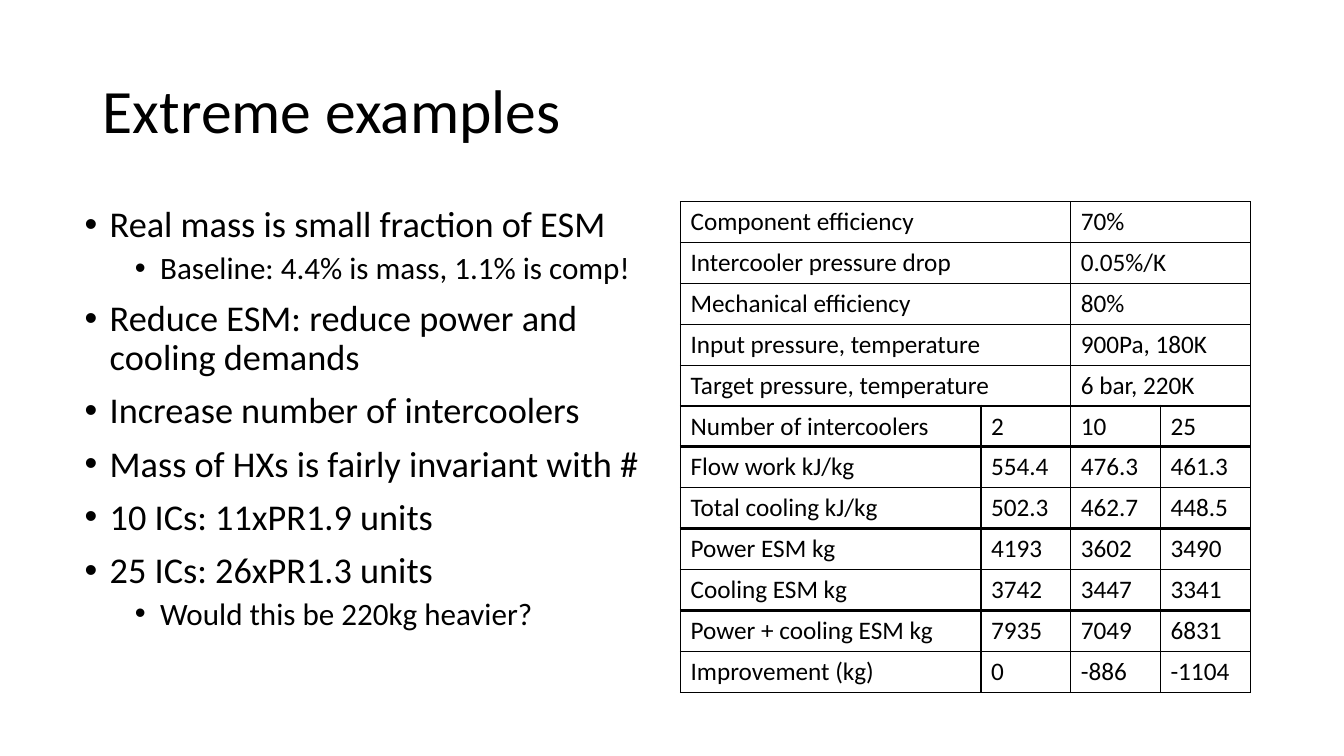
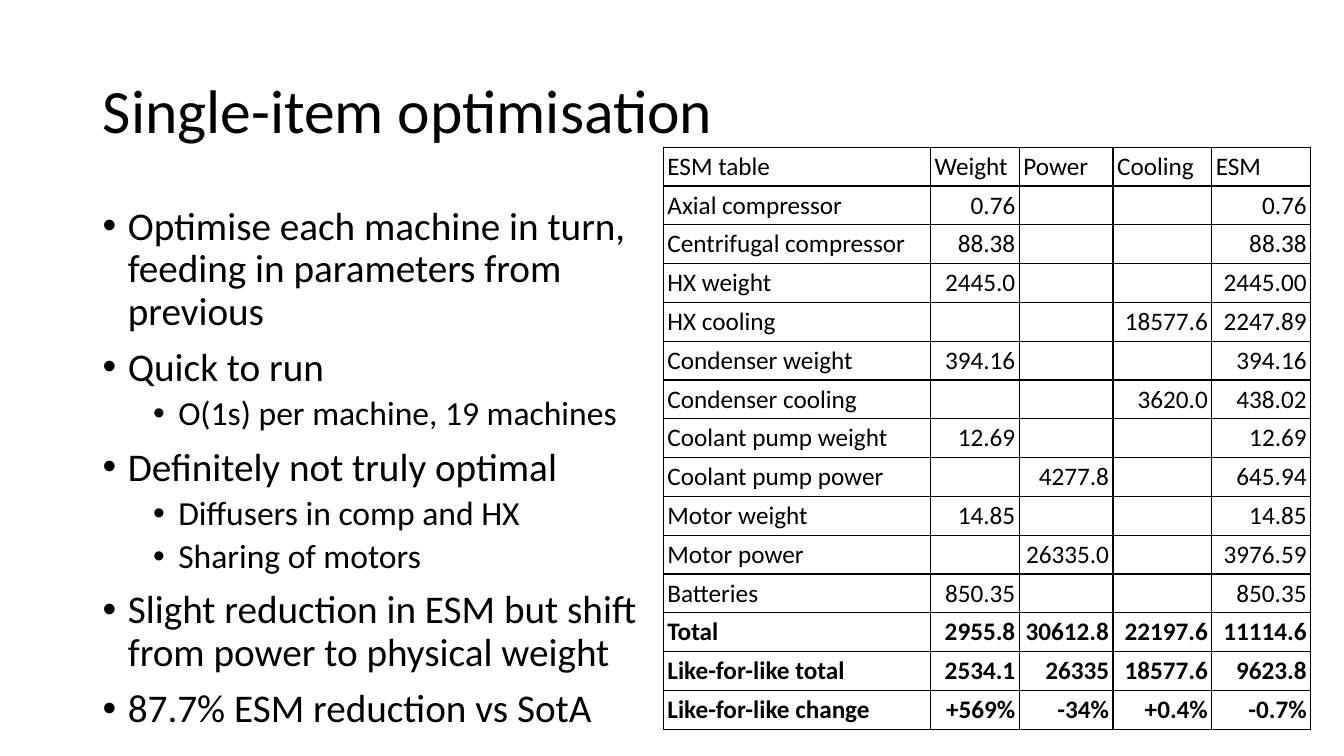
from dataclasses import dataclass

from lxml.etree import SubElement
from pptx import Presentation
from pptx.dml.color import RGBColor
from pptx.enum.text import MSO_ANCHOR as Anchor, MSO_AUTO_SIZE as AutoSize, PP_ALIGN as Align
from pptx.oxml.ns import qn
from pptx.util import Inches, Pt

FONT = "Calibri"
BLACK = "000000"
TITLE_SIZE = 44
TABLE_SIZE = 18
LINE_SPACING = 0.9
THIN, THICK = 1, 2.25
BULLET_INDENT = 0.25
LEVEL_STEP = 0.5


@dataclass(frozen=True)
class Box:
    left: float
    top: float
    width: float
    height: float

    def lengths(self) -> tuple:
        return tuple(Inches(v) for v in (self.left, self.top, self.width, self.height))


@dataclass(frozen=True)
class Bullet:
    text: str
    level: int = 0


@dataclass(frozen=True)
class BulletList:
    box: Box
    sizes: tuple[float, float]
    bullets: tuple[Bullet, ...]


@dataclass(frozen=True)
class Grid:
    """A table; the first merged_rows rows join their columns in pairs."""
    box: Box
    columns: tuple[float, ...]
    rows: tuple[tuple[str, ...], ...]
    merged_rows: int = 0
    thick_below: tuple[int, ...] = ()
    bold_from: int | None = None
    numbers_right: bool = False
    margin: float | None = None
    anchor: Anchor = Anchor.TOP


@dataclass(frozen=True)
class Page:
    title: str
    bullet_list: BulletList
    grid: Grid


TITLE_BOX = Box(0.92, 0.4, 11.5, 1.45)

PAGES = (
    Page(
        "Extreme examples",
        BulletList(Box(0.74, 2, 5.84, 4.76), (25.9, 22.2), (
            Bullet("Real mass is small fraction of ESM"),
            Bullet("Baseline: 4.4% is mass, 1.1% is comp!", 1),
            Bullet("Reduce ESM: reduce power and cooling demands"),
            Bullet("Increase number of intercoolers"),
            Bullet("Mass of HXs is fairly invariant with #"),
            Bullet("10 ICs: 11xPR1.9 units"),
            Bullet("25 ICs: 26xPR1.3 units"),
            Bullet("Would this be 220kg heavier?", 1),
        )),
        Grid(Box(6.75, 2, 5.67, 4.87), (2.98, 0.89, 0.89, 0.89), (
            ("Component efficiency", "", "70%", ""),
            ("Intercooler pressure drop", "", "0.05%/K", ""),
            ("Mechanical efficiency", "", "80%", ""),
            ("Input pressure, temperature", "", "900Pa, 180K", ""),
            ("Target pressure, temperature", "", "6 bar, 220K", ""),
            ("Number of intercoolers", "2", "10", "25"),
            ("Flow work kJ/kg", "554.4", "476.3", "461.3"),
            ("Total cooling kJ/kg", "502.3", "462.7", "448.5"),
            ("Power ESM kg", "4193", "3602", "3490"),
            ("Cooling ESM kg", "3742", "3447", "3341"),
            ("Power + cooling ESM kg", "7935", "7049", "6831"),
            ("Improvement (kg)", "0", "-886", "-1104"),
        ), merged_rows=5, thick_below=(4, 5, 7, 9)),
    ),
    Page(
        "Single-item optimisation",
        BulletList(Box(0.92, 2, 5.67, 5.43), (28, 24), (
            Bullet("Optimise each machine in turn, feeding in parameters from previous"),
            Bullet("Quick to run"),
            Bullet("O(1s) per machine, 19 machines", 1),
            Bullet("Definitely not truly optimal"),
            Bullet("Diffusers in comp and HX", 1),
            Bullet("Sharing of motors", 1),
            Bullet("Slight reduction in ESM but shift from power to physical weight"),
            Bullet("87.7% ESM reduction vs SotA"),
        )),
        Grid(Box(6.58, 1.46, 6.42, 5.76), (2.65, 0.88, 0.93, 0.98, 0.98), (
            ("ESM table", "Weight", "Power", "Cooling", "ESM"),
            ("Axial compressor", "0.76", "", "", "0.76"),
            ("Centrifugal compressor", "88.38", "", "", "88.38"),
            ("HX weight", "2445.0", "", "", "2445.00"),
            ("HX cooling", "", "", "18577.6", "2247.89"),
            ("Condenser weight", "394.16", "", "", "394.16"),
            ("Condenser cooling", "", "", "3620.0", "438.02"),
            ("Coolant pump weight", "12.69", "", "", "12.69"),
            ("Coolant pump power", "", "4277.8", "", "645.94"),
            ("Motor weight", "14.85", "", "", "14.85"),
            ("Motor power", "", "26335.0", "", "3976.59"),
            ("Batteries", "850.35", "", "", "850.35"),
            ("Total", "2955.8", "30612.8", "22197.6", "11114.6"),
            ("Like-for-like total", "2534.1", "26335", "18577.6", "9623.8"),
            ("Like-for-like change", "+569%", "-34%", "+0.4%", "-0.7%"),
        ), bold_from=12, numbers_right=True, margin=0.04, anchor=Anchor.BOTTOM),
    ),
)


def format_runs(paragraph, size: float, bold: bool = False) -> None:
    for run in paragraph.runs:
        run.font.name = FONT
        run.font.size = Pt(size)
        run.font.bold = bold
        run.font.color.rgb = RGBColor.from_string(BLACK)


def add_title(slide, text: str) -> None:
    title = slide.shapes.title
    title.left, title.top, title.width, title.height = TITLE_BOX.lengths()
    frame = title.text_frame
    frame.text = text
    frame.auto_size = AutoSize.NONE
    frame.vertical_anchor = Anchor.MIDDLE
    paragraph = frame.paragraphs[0]
    paragraph.alignment = Align.LEFT
    paragraph.line_spacing = LINE_SPACING
    format_runs(paragraph, TITLE_SIZE)


def set_bullet(paragraph, level: int) -> None:
    properties = paragraph._p.get_or_add_pPr()
    properties.set("marL", str(Inches(BULLET_INDENT + level * LEVEL_STEP)))
    properties.set("indent", str(-Inches(BULLET_INDENT)))
    SubElement(properties, qn("a:buFont"), typeface="Arial")
    SubElement(properties, qn("a:buChar"), char="•")


def add_bullets(slide, bullet_list: BulletList) -> None:
    frame = slide.shapes.add_textbox(*bullet_list.box.lengths()).text_frame
    frame.word_wrap = True
    frame.auto_size = AutoSize.NONE
    for index, bullet in enumerate(bullet_list.bullets):
        paragraph = frame.add_paragraph() if index else frame.paragraphs[0]
        paragraph.text = bullet.text
        paragraph.level = bullet.level
        set_bullet(paragraph, bullet.level)
        paragraph.line_spacing = LINE_SPACING
        if index:
            paragraph.space_before = Pt(5 if bullet.level else 10)
        format_runs(paragraph, bullet_list.sizes[bullet.level])


def set_borders(cell, left: float, right: float, top: float, bottom: float) -> None:
    properties = cell._tc.get_or_add_tcPr()
    for side, width in zip("LRTB", (left, right, top, bottom)):
        line = SubElement(properties, qn(f"a:ln{side}"), w=str(Pt(width)))
        SubElement(SubElement(line, qn("a:solidFill")), qn("a:srgbClr"), val=BLACK)


def format_cell(cell, grid: Grid, row: int, column: int) -> None:
    split_row = 0 < grid.merged_rows <= row
    set_borders(
        cell,
        left=THICK if split_row and column == 1 else THIN,
        right=THICK if split_row and column == 0 else THIN,
        top=THICK if row - 1 in grid.thick_below else THIN,
        bottom=THICK if row in grid.thick_below else THIN,
    )
    cell.fill.background()
    cell.vertical_anchor = grid.anchor
    if grid.margin is not None:
        margin = Inches(grid.margin)
        cell.margin_left = cell.margin_right = margin
        cell.margin_top = cell.margin_bottom = margin
    paragraph = cell.text_frame.paragraphs[0]
    if grid.numbers_right and row and column:
        paragraph.alignment = Align.RIGHT
    format_runs(paragraph, TABLE_SIZE, grid.bold_from is not None and row >= grid.bold_from)


def add_grid(slide, grid: Grid) -> None:
    table = slide.shapes.add_table(
        len(grid.rows), len(grid.columns), *grid.box.lengths()).table
    table.first_row = table.horz_banding = False
    for column, width in zip(table.columns, grid.columns):
        column.width = Inches(width)
    for row in table.rows:
        row.height = Inches(grid.box.height / len(grid.rows))
    for row, texts in enumerate(grid.rows):
        for column, text in enumerate(texts):
            cell = table.cell(row, column)
            cell.text_frame.text = text
            format_cell(cell, grid, row, column)
    for row in range(grid.merged_rows):
        for column in range(0, len(grid.columns), 2):
            table.cell(row, column).merge(table.cell(row, column + 1))


def main() -> None:
    presentation = Presentation()
    presentation.slide_width = Inches(13.33)
    presentation.slide_height = Inches(7.5)
    title_only = presentation.slide_layouts.get_by_name("Title Only")
    for page in PAGES:
        slide = presentation.slides.add_slide(title_only)
        add_title(slide, page.title)
        add_bullets(slide, page.bullet_list)
        add_grid(slide, page.grid)
    presentation.save("out.pptx")


if __name__ == "__main__":
    main()
